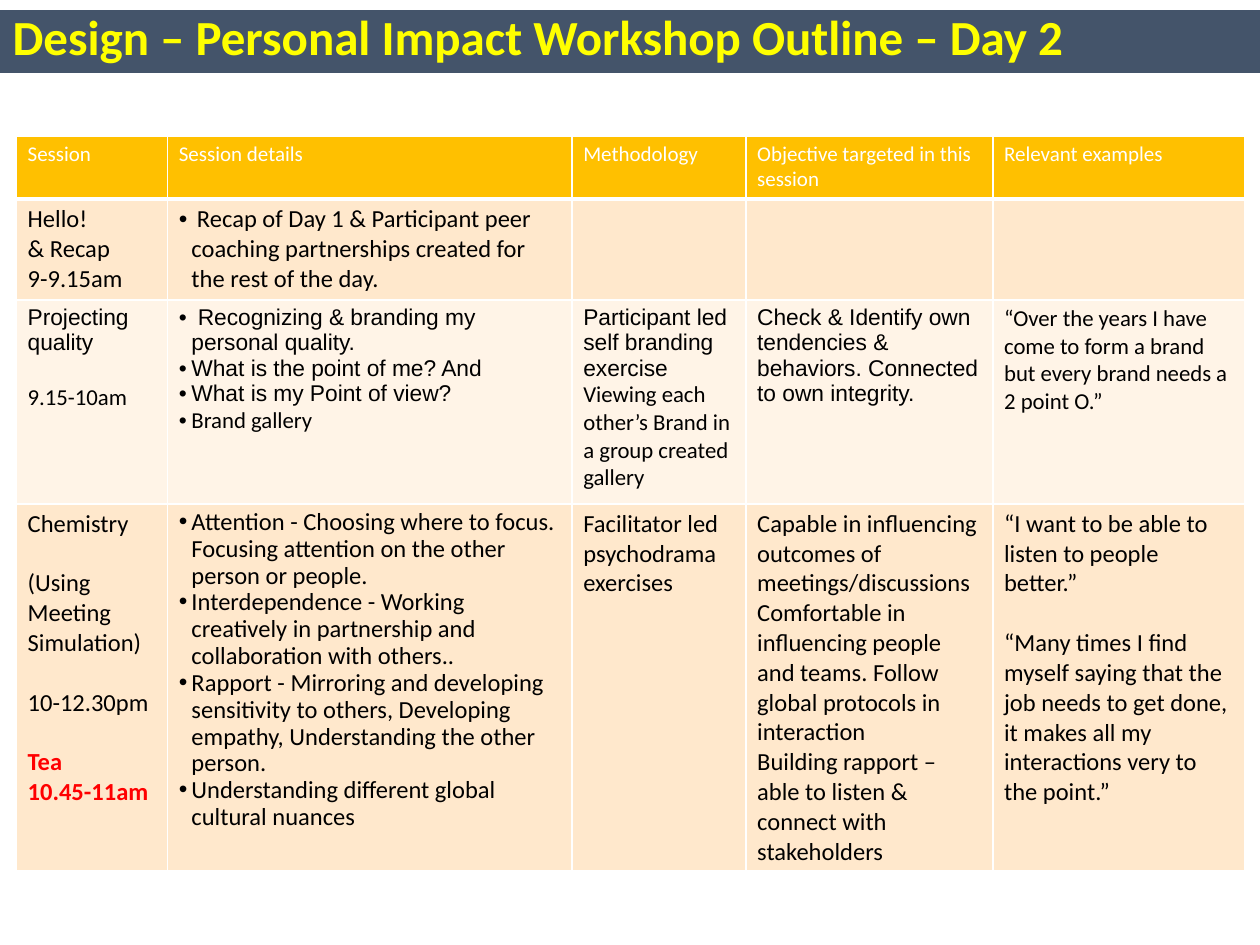
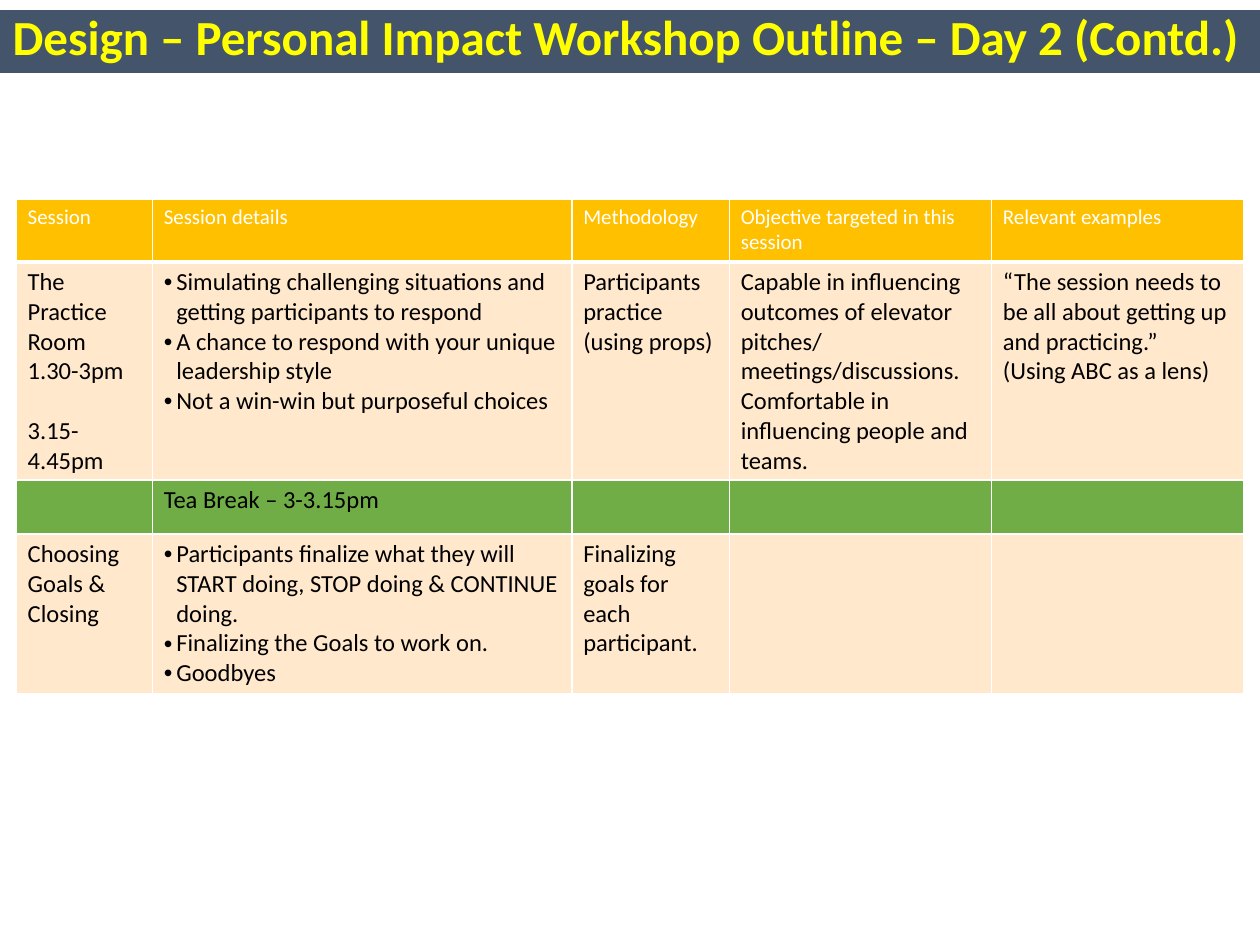
from pptx import Presentation
from pptx.dml.color import RGBColor
from pptx.enum.shapes import MSO_SHAPE
from pptx.enum.text import MSO_ANCHOR, MSO_AUTO_SIZE, PP_ALIGN
from pptx.oxml.ns import qn
from pptx.util import Inches, Pt
from lxml import etree

RECT = MSO_SHAPE.RECTANGLE
TOP, LEFT, NO_FIT = MSO_ANCHOR.TOP, PP_ALIGN.LEFT, MSO_AUTO_SIZE.NONE

WHITE = RGBColor(0xFF, 0xFF, 0xFF)
BLACK = RGBColor(0x00, 0x00, 0x00)
RED = RGBColor(0xFF, 0x00, 0x00)
YELLOW = RGBColor(0xFF, 0xFF, 0x00)
SLATE = RGBColor(0x44, 0x54, 0x6A)
GOLD = RGBColor(0xFF, 0xC0, 0x00)
PEACH = RGBColor(0xFF, 0xE8, 0xCC)
CREAM = RGBColor(0xFF, 0xF4, 0xE7)
GREEN = RGBColor(0x70, 0xAD, 0x47)

WIDTH, HEIGHT = Inches(10), Inches(7.5)
EDGE = Inches(0.13)
TITLE = "Design – Personal Impact Workshop Outline – Day 2"

# A row is its fill, text size, height in inches and cells.
# A cell is a list of paragraphs: plain text, or text with style words.
HEAD = (GOLD, 12, 0.5, [
    ["Session"], ["Session details"], ["Methodology"],
    ["Objective targeted in this session"], ["Relevant examples"]])

RECAP = (PEACH, 14, 0.8, [
    ["Hello!", "& Recap", "9-9.15am"],
    [(" Recap of Day 1 & Participant peer coaching partnerships created "
      "for the rest of the day.", "bullet")],
    [], [], []])

BRAND = (CREAM, 13, 1.62, [
    [("Projecting quality", "arial"), ("9.15-10am", "gap")],
    [(" Recognizing & branding my personal quality.", "bullet arial"),
     ("What is the point of me? And", "bullet arial"),
     ("What is my Point of view?", "bullet arial"),
     ("Brand gallery", "bullet")],
    [("Participant led self branding exercise", "arial"),
     "Viewing each other’s Brand in a group created gallery"],
    [("Check & Identify own tendencies & behaviors. "
      "Connected to own integrity.", "arial")],
    ["“Over the years I have come to form a brand but every brand "
     "needs a 2 point O.”"]])

CHEM = (PEACH, 14, 2.9, [
    ["Chemistry", ("(Using Meeting Simulation)", "gap"),
     ("10-12.30pm", "gap"), ("Tea", "gap red"), ("10.45-11am", "red")],
    [("Attention - Choosing where to focus. Focusing attention on the "
      "other person or people.", "bullet tight"),
     ("Interdependence - Working creatively in partnership and "
      "collaboration with others..", "bullet tight"),
     ("Rapport - Mirroring and developing sensitivity to others, "
      "Developing empathy, Understanding the other person.",
      "bullet tight"),
     ("Understanding different global cultural nuances", "bullet tight")],
    ["Facilitator led psychodrama", "exercises"],
    ["Capable in influencing outcomes of meetings/discussions",
     "Comfortable in influencing people and teams. Follow global "
     "protocols in interaction",
     "Building rapport – able to listen & connect with stakeholders"],
    ["“I want to be able to listen to people better.”",
     ("“Many times I find myself saying that the job needs to get done, "
      "it makes all my interactions very to the point.”", "gap")]])

DRILL = (PEACH, 14, 1.73, [
    ["The Practice Room", "1.30-3pm", ("3.15-4.45pm", "gap")],
    [("Simulating challenging situations and getting participants "
      "to respond", "bullet"),
     ("A chance to respond with your unique leadership style", "bullet"),
     ("Not a win-win but purposeful choices", "bullet")],
    ["Participants practice (using props)"],
    ["Capable in influencing outcomes of elevator pitches/ "
     "meetings/discussions.",
     "Comfortable in influencing people and teams."],
    ["“The session needs to be all about getting up and practicing.”",
     "(Using ABC as a lens)"]])

TEA = (GREEN, 14, 0.43, [[], ["Tea Break – 3-3.15pm"], [], [], []])

GOALS = (PEACH, 14, 1.27, [
    ["Choosing Goals & Closing"],
    [("Participants finalize what they will START doing, STOP doing & "
      "CONTINUE doing.", "bullet"),
     ("Finalizing the Goals to work on.", "bullet"),
     ("Goodbyes", "bullet")],
    ["Finalizing goals for each participant."],
    [], []])

# Title, table top, column widths, rows
PAGES = [
    (TITLE, 1.08, [1.2, 3.21, 1.38, 1.96, 2], [HEAD, RECAP, BRAND, CHEM]),
    (TITLE + " (Contd.)", 1.58, [1.08, 3.33, 1.25, 2.08, 2],
     [HEAD, DRILL, TEA, GOALS]),
]


def write(para, text, style, size, color):
    """Fill one paragraph, following its style words."""
    if "gap" in style:
        para.space_before = Pt(size * 1.22)
    if "tight" in style:
        para.line_spacing = 0.9
    if "bullet" in style:
        props = para._p.get_or_add_pPr()
        props.set("marL", str(Inches(0.1)))
        props.set("indent", str(-Inches(0.1)))
        etree.SubElement(props, qn("a:buFont")).set("typeface", "Arial")
        etree.SubElement(props, qn("a:buChar")).set("char", "•")
    run = para.add_run()
    run.text = text
    font = run.font
    font.name = "Arial" if "arial" in style else "Calibri"
    font.size = Pt(size)
    font.bold = "red" in style
    font.color.rgb = RED if "red" in style else color


def dress(cell, fill, head):
    """Set the margins, white borders and fill of a cell."""
    cell.margin_left = cell.margin_right = Inches(0.09)
    cell.margin_top, cell.margin_bottom = Inches(0.04), Inches(0.03)
    props = cell._tc.get_or_add_tcPr()
    for side in "LRTB":
        line = etree.SubElement(props, qn("a:ln" + side))
        line.set("w", str(Pt(3 if head and side == "B" else 1)))
        solid = etree.SubElement(line, qn("a:solidFill"))
        etree.SubElement(solid, qn("a:srgbClr")).set("val", str(WHITE))
    cell.fill.solid()
    cell.fill.fore_color.rgb = fill


deck = Presentation()
deck.slide_width, deck.slide_height = WIDTH, HEIGHT

for name, top, cols, rows in PAGES:
    slide = deck.slides.add_slide(deck.slide_layouts[5])

    band = slide.shapes.add_shape(RECT, 0, Inches(0.08), WIDTH, Inches(0.5))
    band.shadow.inherit = False
    band.fill.solid()
    band.fill.fore_color.rgb = SLATE
    band.line.fill.background()

    title = slide.shapes.title
    title.element.addprevious(band.element)
    title.left, title.top = 0, 0
    title.width, title.height = WIDTH, Inches(0.57)
    frame = title.text_frame
    frame.auto_size = NO_FIT
    frame.word_wrap = True
    frame.vertical_anchor = TOP
    para = frame.paragraphs[0]
    para.alignment = LEFT
    run = para.add_run()
    run.text = name
    run.font.name, run.font.size, run.font.bold = "Calibri", Pt(28), True
    run.font.color.rgb = YELLOW

    tall = sum(row[2] for row in rows)
    table = slide.shapes.add_table(
        len(rows), len(cols), EDGE, Inches(top),
        Inches(sum(cols)), Inches(tall)).table
    table.horz_banding = False
    for col, wide in zip(table.columns, cols):
        col.width = Inches(wide)

    for r, (fill, size, high, cells) in enumerate(rows):
        table.rows[r].height = Inches(high)
        color = WHITE if r == 0 else BLACK
        for c, paras in enumerate(cells):
            cell = table.cell(r, c)
            dress(cell, fill, r == 0)
            frame = cell.text_frame
            for n, item in enumerate(paras):
                text, style = (item, "") if isinstance(item, str) else item
                para = frame.add_paragraph() if n else frame.paragraphs[0]
                write(para, text, style, size, color)

deck.save("out.pptx")
